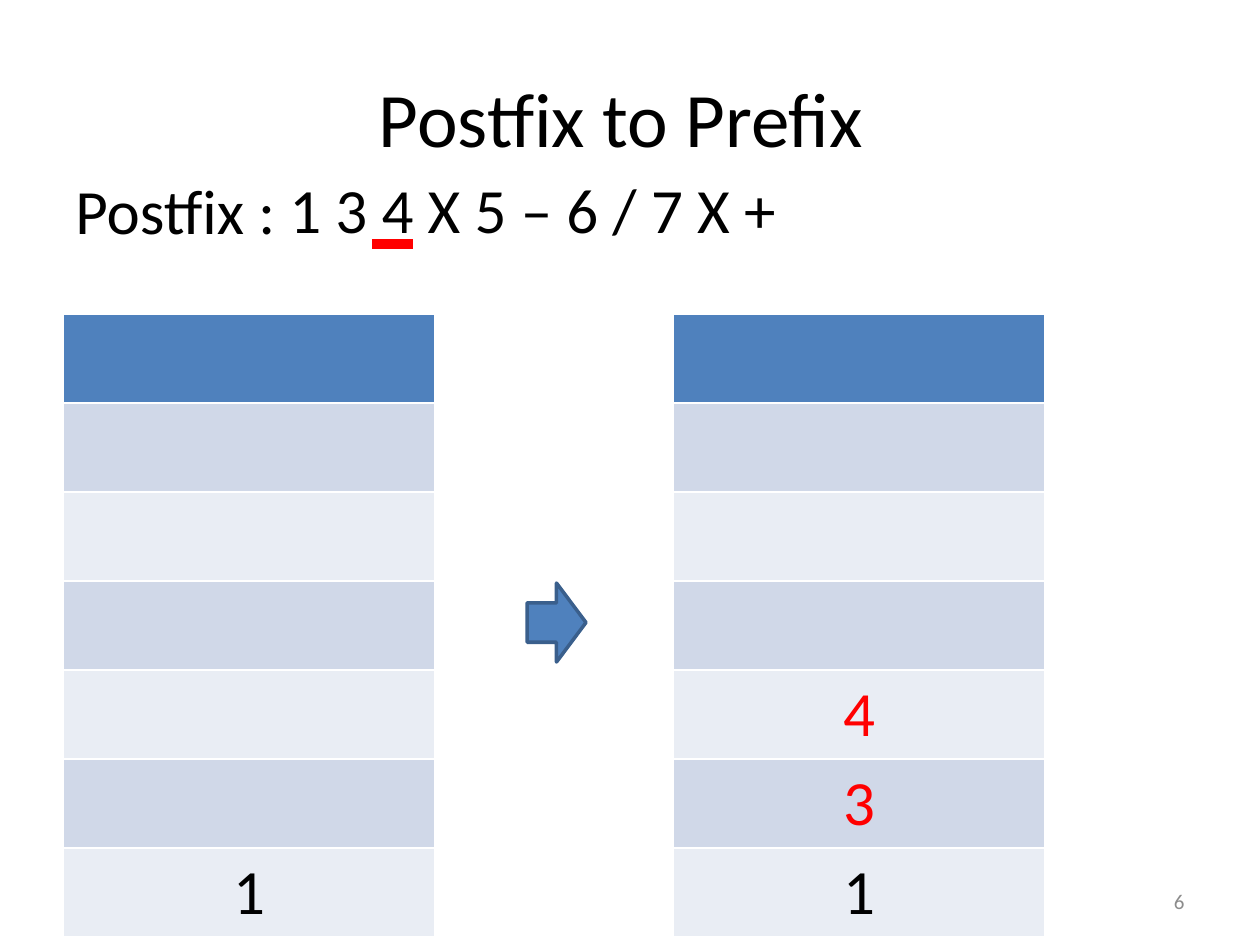
from lxml.etree import SubElement
from pptx import Presentation
from pptx.dml.color import RGBColor
from pptx.enum.shapes import MSO_CONNECTOR, MSO_SHAPE
from pptx.enum.text import MSO_ANCHOR, PP_ALIGN
from pptx.oxml.ns import qn
from pptx.util import Inches, Pt

PX = Inches(1) / 126
STACK_ROWS = 7
HEADER, BANDS = "4F81BD", ("E9EDF4", "D0D8E8")
BLACK, RED, GREY = "000000", "FF0000", "8C8C8C"


def px(*values):
    return [round(v * PX) for v in values]


def rgb(color):
    return RGBColor.from_string(color)


def write(tf, text, size=36, color=BLACK, align=PP_ALIGN.LEFT):
    p = tf.paragraphs[0]
    p.alignment = align
    r = p.add_run()
    r.text = text
    for name, value in {"name": "Calibri", "size": Pt(size)}.items():
        setattr(r.font, name, value)
    r.font.color.rgb = rgb(color)


def add_text(s, box, text, anchor=MSO_ANCHOR.TOP, **style):
    tf = s.shapes.add_textbox(*px(*box)).text_frame
    tf.word_wrap = True
    tf.vertical_anchor = anchor
    write(tf, text, **style)


def add_stack(s, left, items):
    """Draw a stack whose (text, color) items fill it from the bottom up."""
    row_height = 89
    frame = s.shapes.add_table(STACK_ROWS, 1, *px(left, 314, 372, row_height * STACK_ROWS))
    cells = [row.cells[0] for row in frame.table.rows]
    for i, cell in enumerate(cells):
        cell.fill.solid()
        cell.fill.fore_color.rgb = rgb(BANDS[i % 2] if i else HEADER)
    for cell, (text, color) in zip(reversed(cells), items):
        write(cell.text_frame, text, color=color, align=PP_ALIGN.CENTER)


def add_underline(s, x1, x2, y):
    line = s.shapes.add_connector(MSO_CONNECTOR.STRAIGHT, *px(x1, y, x2, y))
    line.line.color.rgb = rgb(RED)
    line.line.width = Pt(6)
    SubElement(line._element.spPr, qn("a:effectLst"))


def add_arrow(s, box):
    arrow = s.shapes.add_shape(MSO_SHAPE.RIGHT_ARROW, *px(*box))
    arrow.shadow.inherit = False
    arrow.fill.solid()
    arrow.fill.fore_color.rgb = rgb(HEADER)
    arrow.line.color.rgb = rgb("3A5F8C")
    arrow.line.width = Pt(2)


def main():
    prs = Presentation()
    prs.slide_width, prs.slide_height = Inches(10), Inches(7.5)
    s = prs.slides.add_slide(prs.slide_layouts[6])

    add_text(s, (277, 164, 793, 89), "1 3 4 X 5 – 6 / 7 X +")
    add_text(s, (63, 165, 462, 89), "Postfix :")
    add_text(s, (63, 38, 1134, 158), "Postfix to Prefix ", MSO_ANCHOR.MIDDLE,
             size=44, align=PP_ALIGN.CENTER)
    add_underline(s, 372, 413, 244)
    add_stack(s, 63, [("1", BLACK)])
    add_arrow(s, (527, 583, 59, 79))
    add_stack(s, 673, [("1", BLACK), ("3", RED), ("4", RED)])
    add_text(s, (903, 876, 294, 50), "6", MSO_ANCHOR.MIDDLE,
             size=12, color=GREY, align=PP_ALIGN.RIGHT)
    prs.save("out.pptx")


if __name__ == "__main__":
    main()
